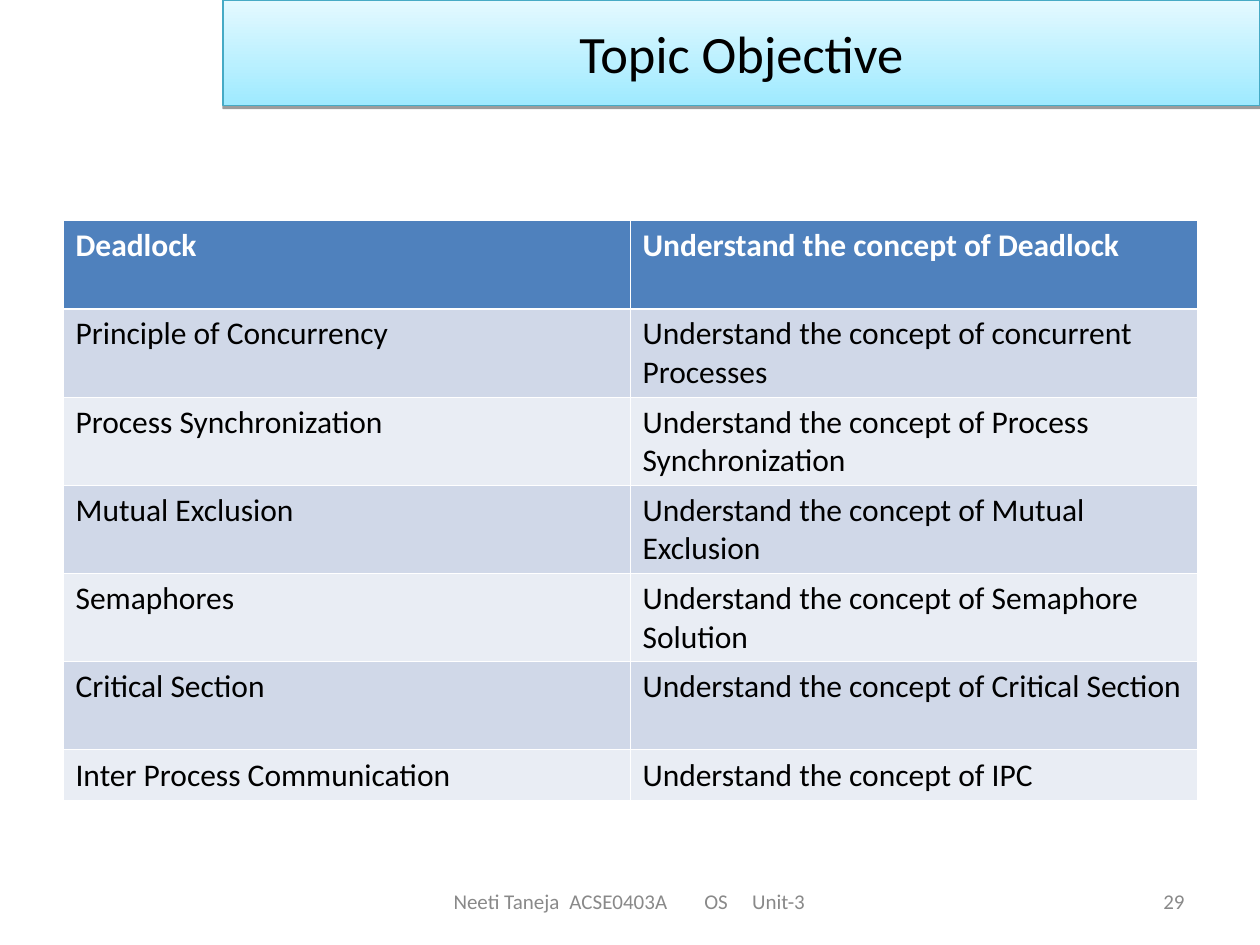
import pptx
import pptx.dml.color
import pptx.enum.text
import pptx.oxml
import pptx.oxml.ns
import pptx.util
from lxml import etree

RGB = pptx.dml.color.RGBColor
ALIGN = pptx.enum.text.PP_ALIGN
ANCHOR = pptx.enum.text.MSO_ANCHOR
qn = pptx.oxml.ns.qn
Pt = pptx.util.Pt
Inches = pptx.util.Inches

WIDE, HIGH = 10, 7.5
BLACK = RGB(0, 0, 0)
WHITE = RGB(255, 255, 255)
GREY = RGB(0x89, 0x89, 0x89)
HEAD = RGB(0x4F, 0x81, 0xBD)
BANDS = (RGB(0xE9, 0xED, 0xF4), RGB(0xD0, 0xD8, 0xE8))
AQUA = RGB(0x9E, 0xEA, 0xFF)
PALE = RGB(0xE4, 0xF9, 0xFF)
EDGE = RGB(0x46, 0xAA, 0xC5)

GOAL = "Understand the concept of "
TOPICS = [
    ("Deadlock", "Deadlock"),
    ("Principle of Concurrency", "concurrent Processes"),
    ("Process Synchronization", "Process Synchronization"),
    ("Mutual Exclusion", "Mutual Exclusion"),
    ("Semaphores", "Semaphore Solution"),
    ("Critical Section", "Critical Section"),
    ("Inter Process Communication", "IPC"),
]


def write(frame, text, size=18, color=BLACK, bold=False,
          align=ALIGN.LEFT, anchor=ANCHOR.TOP, tabs=()):
    """Fill a text frame with one formatted paragraph."""
    frame.word_wrap = True
    frame.vertical_anchor = anchor
    para = frame.paragraphs[0]
    para.alignment = align
    run = para.add_run()
    run.text = text
    font = run.font
    font.name, font.size, font.bold = "Calibri", Pt(size), bold
    font.color.rgb = color
    if tabs:
        stops = etree.SubElement(para._p.get_or_add_pPr(), qn("a:tabLst"))
        for stop in tabs:
            etree.SubElement(stops, qn("a:tab"), pos=str(Inches(stop)), algn="l")


def place(shape, box):
    shape.left, shape.top, shape.width, shape.height = map(Inches, box)


def border(cell, top, base):
    """Draw white cell borders; top and base are widths in points."""
    props = cell._tc.get_or_add_tcPr()
    sides = (("L", 0.45), ("R", 0.45), ("T", top), ("B", base))
    for spot, (side, width) in enumerate(sides):
        line = etree.Element(qn("a:ln" + side), w=str(Pt(width)))
        fill = etree.SubElement(line, qn("a:solidFill"))
        etree.SubElement(fill, qn("a:srgbClr"), val=str(WHITE))
        props.insert(spot, line)


def add_foot(slide, box):
    """Course line in the centre, page number at the right."""
    left, top, width, height = box
    course = slide.shapes.add_textbox(*map(Inches, (left, top, 3.17, height)))
    course.text_frame.margin_left = Inches(0.18)
    write(course.text_frame, "Neeti Taneja\tACSE0403A\tOS\tUnit-3", size=12,
          color=GREY, anchor=ANCHOR.MIDDLE, tabs=(0.92, 1.99, 2.37))
    page = slide.shapes.add_textbox(
        *map(Inches, (left + width - 2.33, top, 2.33, height)))
    write(page.text_frame, "29", size=12, color=GREY,
          align=ALIGN.RIGHT, anchor=ANCHOR.MIDDLE)


def add_grid(slide, box):
    """Topics and their objectives; the last row is a single line high."""
    table = slide.shapes.add_table(len(TOPICS), 2, *map(Inches, box)).table
    last = len(TOPICS) - 1
    for col in table.columns:
        col.width = Inches(box[2] / 2)
    for r, (topic, goal) in enumerate(TOPICS):
        table.rows[r].height = Inches(0.4 if r == last else (box[3] - 0.4) / last)
        for c, text in enumerate((topic, GOAL + goal)):
            cell = table.cell(r, c)
            cell.fill.solid()
            cell.fill.fore_color.rgb = BANDS[r % 2] if r else HEAD
            write(cell.text_frame, text, bold=r == 0,
                  color=BLACK if r else WHITE)
            border(cell, 1.47 if r == 1 else 0.45, 0.45 if r else 1.47)


def add_title(slide, box):
    """Gradient banner with a thin shadow, in front of the other parts."""
    title = slide.shapes.title
    place(title, box)
    title.fill.gradient()
    title.fill.gradient_angle = 90
    for stop, color, spot in zip(title.fill.gradient_stops, (AQUA, PALE), (0, 1)):
        stop.color.rgb = color
        stop.position = spot
    title.line.color.rgb = EDGE
    title.line.width = Pt(0.75)
    effect = etree.SubElement(title.element.spPr, qn("a:effectLst"))
    shade = etree.SubElement(effect, qn("a:outerShdw"), blurRad="0",
                             dist=str(Pt(1.6)), dir="5400000", rotWithShape="0")
    tone = etree.SubElement(shade, qn("a:srgbClr"), val=str(BLACK))
    etree.SubElement(tone, qn("a:alpha"), val="38000")
    write(title.text_frame, "Topic Objective", size=30,
          align=ALIGN.CENTER, anchor=ANCHOR.MIDDLE)
    title.element.getparent().append(title.element)


def main():
    deck = pptx.Presentation()
    deck.slide_width, deck.slide_height = Inches(WIDE), Inches(HIGH)
    slide = deck.slides.add_slide(deck.slide_layouts.get_by_name("Title Only"))
    edge = WIDE * 0.05
    add_foot(slide, (3.42, 6.95, WIDE - edge - 3.42, 0.4))
    add_grid(slide, (edge, 1.75, WIDE - 2 * edge, 4.6))
    add_title(slide, (1.77, 0, WIDE - 1.77, 0.84))
    deck.save("out.pptx")


if __name__ == "__main__":
    main()
